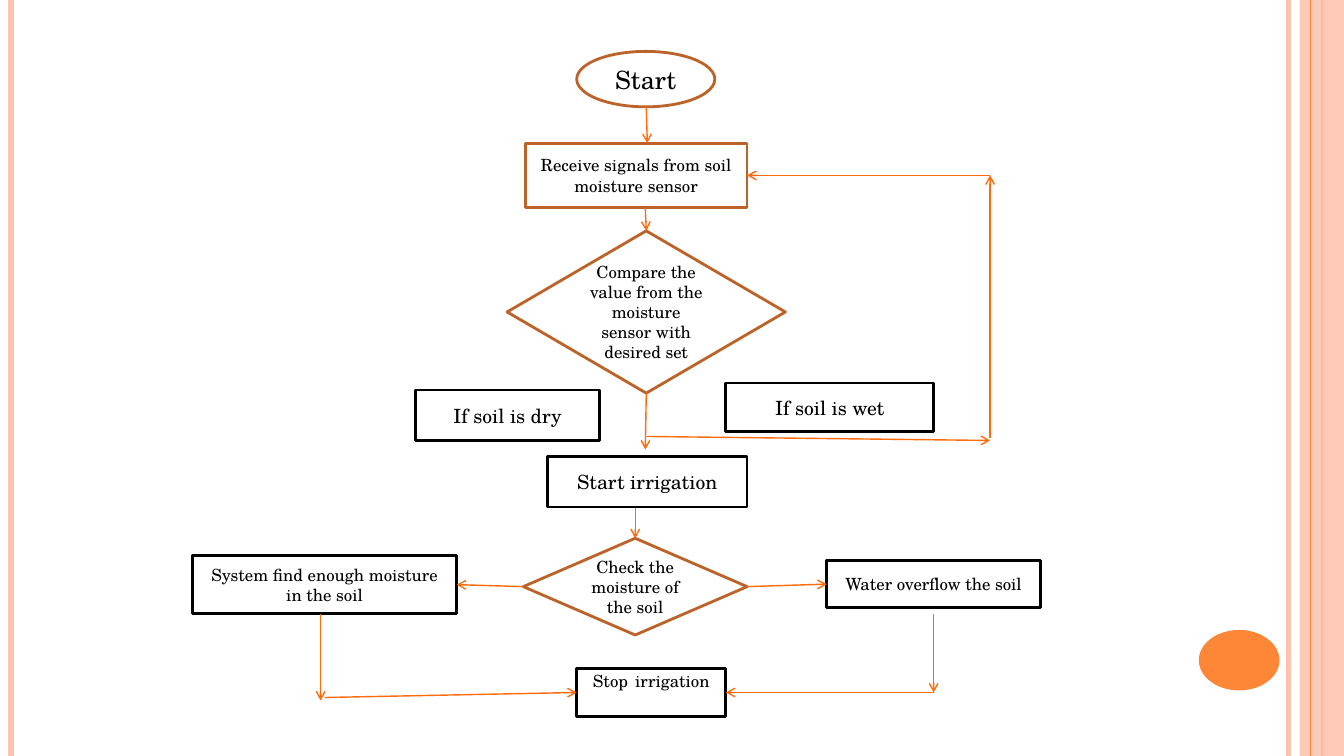
"""Build a flowchart slide for soil moisture controlled irrigation."""
from dataclasses import dataclass

from lxml import etree
from pptx import Presentation
from pptx import util as u
from pptx.dml.color import RGBColor
from pptx.enum import shapes, text
from pptx.oxml import ns


@dataclass(frozen=True)
class Theme:
    font: str = "TeX Gyre Schola"
    white: str = "FFFFFF"
    black: str = "000000"
    brown: str = "BC6329"
    arrow: str = "FF6B0A"
    orange: str = "FE8637"
    peach: str = "FEC3AE"
    small: int = 12
    medium: int = 14
    large: int = 18
    outline: float = 2
    arrow_width: float = 1


theme = Theme()
kinds = shapes.MSO_SHAPE
deck = Presentation()
deck.slide_width, deck.slide_height = u.Inches(13.33), u.Inches(7.5)
page = deck.slides.add_slide(deck.slide_layouts[6])


def add_box(kind, place, fill, outline=None):
    box = page.shapes.add_shape(kind, *map(u.Inches, place))
    box.shadow.inherit = False
    box.fill.solid()
    box.fill.fore_color.rgb = RGBColor.from_string(fill)
    if outline:
        box.line.color.rgb = RGBColor.from_string(outline)
        box.line.width = u.Pt(theme.outline)
    else:
        box.line.fill.background()
    return box


def add_line(start, end, color, width):
    line = page.shapes.add_connector(
        shapes.MSO_CONNECTOR.STRAIGHT, *map(u.Inches, (*start, *end)))
    line.line.color.rgb = RGBColor.from_string(color)
    line.line.width = u.Pt(width)
    etree.SubElement(line._element.spPr, ns.qn("a:effectLst"))
    return line


stripes = [
    (12.78, theme.peach, 3),
    (0.11, theme.peach, 4.5),
    (13.11, theme.orange, 1.5),
    (13, theme.orange, 0.75),
]
for x, color, width in stripes[:3]:
    add_line((x, 0), (x, 7.5), color, width)
band = add_box(kinds.RECTANGLE, (12.89, 0, 0.44, 7.5), theme.peach)
band_color = next(band._element.spPr.iter(ns.qn("a:srgbClr")))
etree.SubElement(band_color, ns.qn("a:alpha"), val="87000")
x, color, width = stripes[3]
add_line((x, 0), (x, 7.5), color, width)
add_box(kinds.OVAL, (11.89, 6.25, 0.8, 0.6), theme.orange)

steps = {
    "receive": (kinds.RECTANGLE, (5.21, 1.42, 2.2, 0.64), theme.brown, theme.small,
                ["Receive signals from soil moisture sensor"]),
    "start": (kinds.OVAL, (5.72, 0.51, 1.37, 0.55), theme.brown, theme.large, ["Start"]),
    "compare": (kinds.DIAMOND, (5.03, 2.29, 2.76, 1.61), theme.brown, theme.small,
                ["Compare the value from the moisture sensor with desired set"]),
    "dry": (kinds.RECTANGLE, (4.12, 3.87, 1.83, 0.5), theme.black, theme.medium,
            ["If soil is dry"]),
    "irrigate": (kinds.RECTANGLE, (5.43, 4.53, 1.98, 0.5), theme.black, theme.medium,
                 ["Start irrigation"]),
    "wet": (kinds.RECTANGLE, (7.2, 3.8, 2.06, 0.48), theme.black, theme.medium,
            ["If soil is wet"]),
    "check": (kinds.DIAMOND, (5.19, 5.34, 2.22, 0.96), theme.brown, theme.small,
              ["Check the moisture of the soil"]),
    "enough": (kinds.RECTANGLE, (1.91, 5.51, 2.62, 0.58), theme.black, theme.small,
               ["System find enough moisture in the soil"]),
    "overflow": (kinds.RECTANGLE, (8.2, 5.56, 2.12, 0.47), theme.black, theme.small,
                 ["Water overflow the soil"]),
    "stop": (kinds.RECTANGLE, (5.72, 6.63, 1.48, 0.48), theme.black, theme.small,
             ["Stop", " ", "irrigation"]),
}
boxes = {}
for name, (kind, place, outline, size, words) in steps.items():
    box = boxes[name] = add_box(kind, place, theme.white, outline)
    frame_format = {"word_wrap": True, "vertical_anchor": text.MSO_ANCHOR.MIDDLE}
    if name == "stop":
        frame_format.update(margin_top=0, margin_bottom=u.Inches(0.3))
    for key, value in frame_format.items():
        setattr(box.text_frame, key, value)
    para = box.text_frame.paragraphs[0]
    para.alignment = text.PP_ALIGN.CENTER
    for word in words:
        span = para.add_run()
        span.text = word
        span_format = {"name": theme.font, "size": u.Pt(size if word.strip() else theme.large)}
        for key, value in span_format.items():
            setattr(span.font, key, value)
        span.font.color.rgb = RGBColor.from_string(theme.black)

TOP, LEFT, BOTTOM, RIGHT = range(4)
arrows = [
    ((6.41, 1.06), (6.42, 1.42), None, None),
    ((9.82, 1.74), (7.41, 1.74), None, ("receive", RIGHT)),
    ((9.82, 4.35), (9.82, 1.74), None, None),
    ((6.41, 4.33), (9.82, 4.37), None, None),
    ((6.41, 3.9), (6.4, 4.46), ("compare", BOTTOM), None),
    ((6.4, 2.06), (6.41, 2.29), None, ("compare", TOP)),
    ((6.3, 5.04), (6.3, 5.34), None, ("check", TOP)),
    ((7.41, 5.82), (8.2, 5.8), ("check", RIGHT), ("overflow", LEFT)),
    ((5.19, 5.82), (4.53, 5.8), ("check", LEFT), ("enough", RIGHT)),
    ((3.18, 6.09), (3.18, 6.95), None, None),
    ((3.22, 6.92), (5.72, 6.87), None, ("stop", LEFT)),
    ((9.26, 6.09), (9.26, 6.87), None, None),
    ((9.26, 6.87), (7.2, 6.87), None, ("stop", RIGHT)),
]
for start, end, source, target in arrows:
    arrow = add_line(start, end, theme.arrow, theme.arrow_width)
    etree.SubElement(arrow.line._get_or_add_ln(), ns.qn("a:tailEnd"), type="arrow")
    for joint, connect in ((source, arrow.begin_connect), (target, arrow.end_connect)):
        if joint:
            connect(boxes[joint[0]], joint[1])

deck.save("out.pptx")
